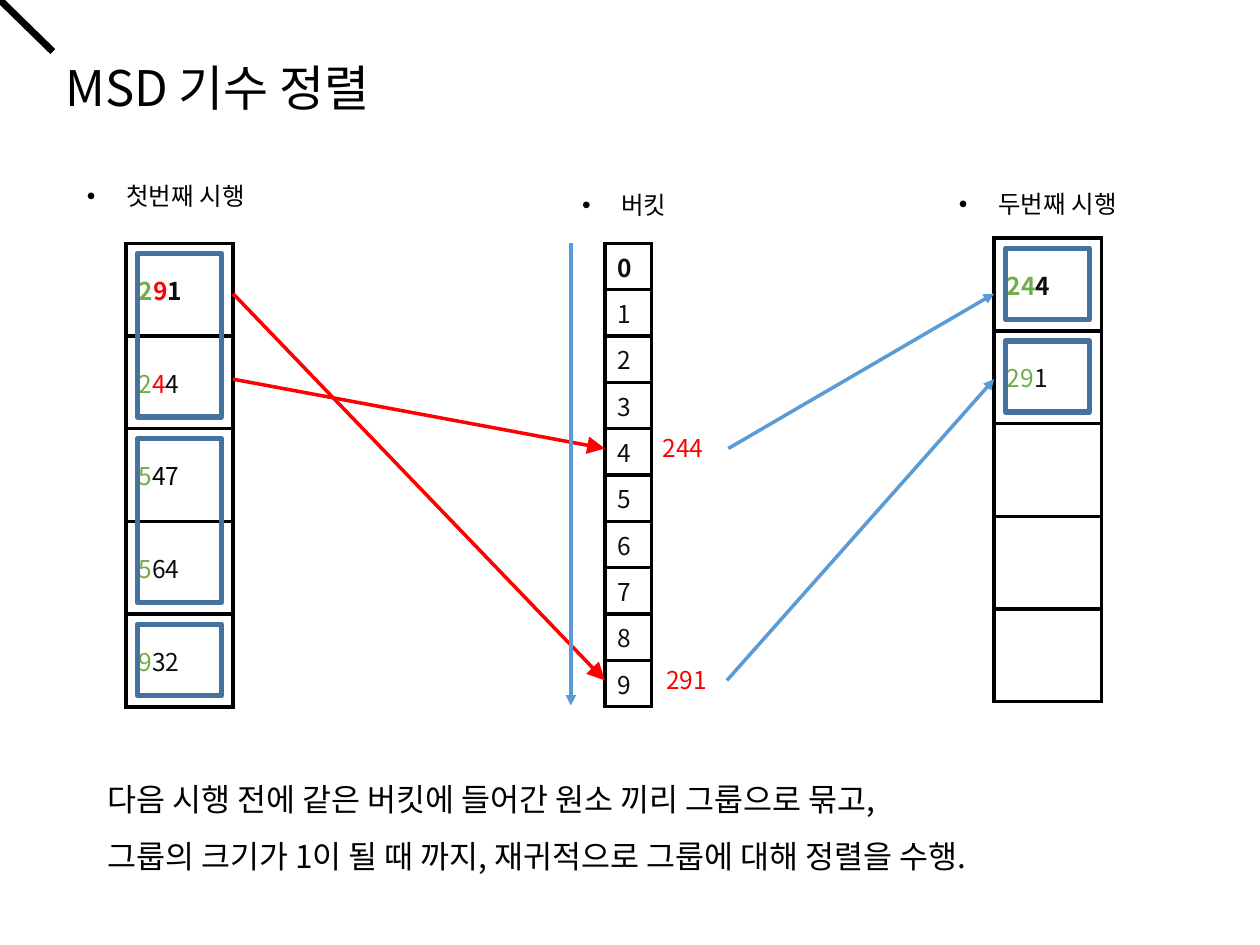
import dataclasses
import pptx
import pptx.dml.color
import pptx.enum.shapes
import pptx.enum.text
import pptx.oxml
import pptx.oxml.ns
import pptx.util

Pt = pptx.util.Pt
qn = pptx.oxml.ns.qn
NS = pptx.oxml.ns.nsdecls("a")


@dataclasses.dataclass(frozen=True)
class Theme:
    font: str = "Noto Sans CJK KR"
    black: str = "000000"
    ink: str = "0D0D0D"
    white: str = "FFFFFF"
    green: str = "70AD47"
    red: str = "FF0000"
    blue: str = "5B9BD5"
    frame: str = "43739E"
    title: int = 28
    note: int = 18
    small: int = 14


T = Theme()


def rgb(code):
    return pptx.dml.color.RGBColor.from_string(code)


def node(parent, xml):
    parent.append(pptx.oxml.parse_xml(xml))


def write(para, runs, size, bold=False):
    para.alignment = pptx.enum.text.PP_ALIGN.LEFT
    para.space_before = Pt(0)
    for text, color in runs:
        run = para.add_run()
        run.text = text
        font = run.font
        font.size, font.bold, font.name = Pt(size), bold, T.font
        font.color.rgb = rgb(color)
        node(run._r.get_or_add_rPr(), f'<a:ea {NS} typeface="{T.font}"/>')


def place(shape, box):
    shape.left, shape.top, shape.width, shape.height = map(Pt, box)
    frame = shape.text_frame
    frame.word_wrap = True
    frame.auto_size = pptx.enum.text.MSO_AUTO_SIZE.NONE
    frame.vertical_anchor = pptx.enum.text.MSO_ANCHOR.TOP
    return frame


def indent(para, size, mark):
    props = para._p.get_or_add_pPr()
    props.set("marL", str(Pt(size)))
    props.set("indent", str(-Pt(size)))
    node(props, mark)


def head(shape, box, text):
    para = place(shape, box).paragraphs[0]
    write(para, [(text, T.black)], T.small)
    indent(para, 22.5, f'<a:buChar {NS} char="•"/>')


def note(shape, box, lines):
    frame = place(shape, box)
    for i, line in enumerate(lines):
        para = frame.add_paragraph() if i else frame.paragraphs[0]
        write(para, [(line, T.black)], T.note)
        if i:
            para.line_spacing = Pt(32.6)
        indent(para, 0, f"<a:buNone {NS}/>")


def label(slide, box, text):
    frame = place(slide.shapes.add_textbox(0, 0, 0, 0), box)
    write(frame.paragraphs[0], [(text, T.red)], T.small)


def line(slide, start, end, color, width=2, tip=None):
    kind = pptx.enum.shapes.MSO_CONNECTOR.STRAIGHT
    link = slide.shapes.add_connector(kind, *map(Pt, start + end))
    link.line.color.rgb = rgb(color)
    link.line.width = Pt(width)
    props = link._element.spPr
    if tip:
        node(props.find(qn("a:ln")),
             f'<a:tailEnd {NS} type="triangle" w="{tip}" len="{tip}"/>')
    node(props, f"<a:effectLst {NS}/>")


def edge(cell):
    props = cell._tc.get_or_add_tcPr()
    for i, side in enumerate(("lnL", "lnR", "lnT", "lnB")):
        props.insert(i, pptx.oxml.parse_xml(
            f'<a:{side} {NS} w="{Pt(2.25)}"><a:solidFill>'
            f'<a:srgbClr val="{T.black}"/></a:solidFill></a:{side}>'))


def stack(slide, box, rows):
    table = slide.shapes.add_table(len(rows), 1, *map(Pt, box)).table
    table.first_row = table.horz_banding = False
    for i, runs in enumerate(rows):
        table.rows[i].height = Pt(box[3] / len(rows))
        cell = table.cell(i, 0)
        cell.fill.solid()
        cell.fill.fore_color.rgb = rgb(T.white)
        cell.vertical_anchor = pptx.enum.text.MSO_ANCHOR.MIDDLE
        cell.margin_top = cell.margin_bottom = Pt(2)
        write(cell.text_frame.paragraphs[0], runs, T.small, bold=i == 0)
        edge(cell)


def group(slide, box, rows, sizes):
    stack(slide, box, rows)
    x, y, _, high = box
    step = high / len(rows)
    for size in sizes:
        rect = slide.shapes.add_shape(
            pptx.enum.shapes.MSO_SHAPE.RECTANGLE,
            Pt(x + 6.4), Pt(y + 5.8), Pt(48.2), Pt(size * step - 12.5))
        rect.shadow.inherit = False
        rect.fill.background()
        rect.line.color.rgb = rgb(T.frame)
        rect.line.width = Pt(3)
        y += size * step


def main():
    deck = pptx.Presentation()
    deck.slide_width, deck.slide_height = Pt(720), Pt(540)
    slide = deck.slides.add_slide(deck.slide_layouts[4])
    hold = {p.placeholder_format.idx: p for p in slide.placeholders}

    title = place(hold[0], (30.2, 29.5, 204.5, 41))
    write(title.paragraphs[0], [("MSD 기수 정렬", T.black)], T.title)
    line(slide, (0, 0), (30.2, 29.5), T.black, 4)

    head(hold[1], (42.5, 100, 111, 24.5), "첫번째 시행")
    head(hold[2], (325.4, 105.1, 64, 24.5), "버킷")
    head(hold[3], (540.7, 104.4, 108, 24.5), "두번째 시행")
    note(hold[4], (54, 442, 526.3, 62),
         ["다음 시행 전에 같은 버킷에 들어간 원소 끼리 그룹으로 묶고,",
          "그룹의 크기가 1이 될 때 까지, 재귀적으로 그룹에 대해 정렬을 수행."])

    first = [
        [("2", T.green), ("9", T.red), ("1", T.ink)],
        [("2", T.green), ("4", T.red), ("4", T.ink)],
        [("5", T.green), ("47", T.black)],
        [("5", T.green), ("64", T.ink)],
        [("9", T.green), ("32", T.ink)],
    ]
    next_rows = [[("24", T.green), ("4", T.ink)],
                 [("29", T.green), ("1", T.ink)], [], [], []]
    group(slide, (72, 139, 61.2, 265), first, (2, 2, 1))
    stack(slide, (345.6, 139, 26.6, 265), [[(str(n), T.ink)] for n in range(10)])
    group(slide, (568.1, 136.1, 61.2, 265), next_rows, (1, 1))

    high, low = 167.8, 216.7
    four, nine = 256.3, 388.8
    line(slide, (133.2, high), (345.6, nine), T.red, tip="lg")
    line(slide, (133.2, low), (345.6, four), T.red, tip="lg")
    label(slide, (371.5, 244.1, 44.6, 24.5), "244")
    label(slide, (373.7, 376.6, 41.8, 24.5), "291")
    line(slide, (416.2, four), (568.1, high), T.blue, tip="med")
    line(slide, (415.4, nine), (568.1, low), T.blue, tip="med")
    line(slide, (326.2, 139), (326.2, 403.2), T.blue, tip="med")

    deck.save("out.pptx")


if __name__ == "__main__":
    main()
